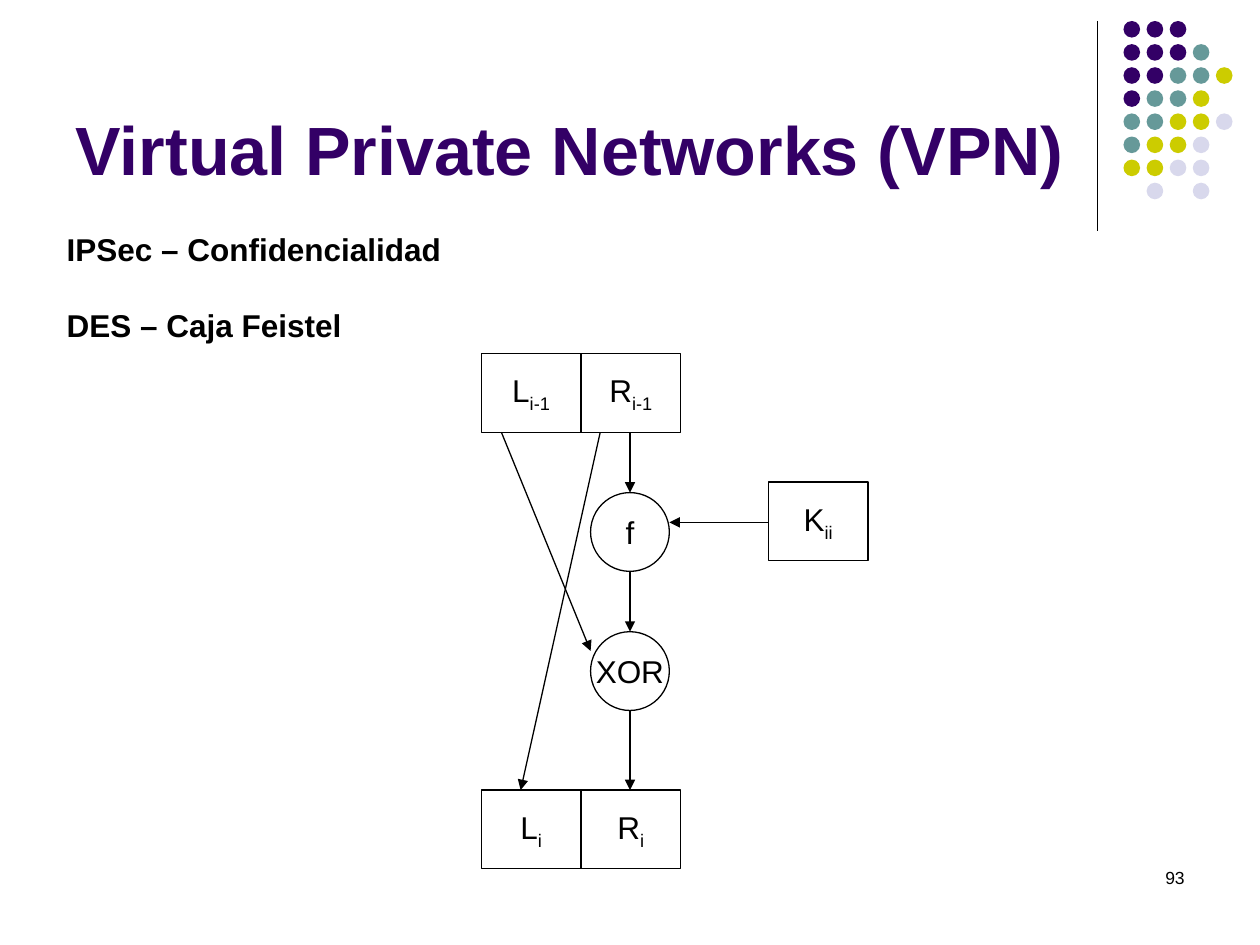
from pptx import Presentation
from pptx.dml.color import RGBColor
from pptx.enum.shapes import MSO_CONNECTOR, MSO_SHAPE
from pptx.enum.text import MSO_ANCHOR, PP_ALIGN
from pptx.oxml.ns import qn
from pptx.util import Pt
from lxml.etree import SubElement


def color(code):
    return RGBColor.from_string(code)


def style(para, size, code="000000", bold=False):
    para.font.name = "Arial"
    para.font.size = Pt(size)
    para.font.bold = bold
    para.font.color.rgb = color(code)


deck = Presentation()
deck.slide_width, deck.slide_height = Pt(720), Pt(540)
slide = deck.slides.add_slide(deck.slide_layouts[5])
shapes = slide.shapes

title = shapes.title
title.left, title.top, title.width, title.height = Pt(36), Pt(9.5), Pt(594), Pt(102)
title.text_frame.text = "Virtual Private Networks (VPN)"
title.text_frame.vertical_anchor = MSO_ANCHOR.BOTTOM
head = title.text_frame.paragraphs[0]
head.alignment = PP_ALIGN.LEFT
style(head, 39, "330066", True)

tones = {"P": "330066", "T": "669999", "Y": "CCCC00", "G": "D8D8EC"}
rows = ["PPP", "PPPT", "PPTTY", "PTTY", "TTYYG", "TYYG", "YYGG", " G G"]
for row, marks in enumerate(rows):
    for col, mark in enumerate(marks):
        if mark in tones:
            dot = shapes.add_shape(MSO_SHAPE.OVAL, Pt(642 + 13.2 * col),
                                   Pt(12 + 13.2 * row), Pt(9.5), Pt(9.5))
            dot.shadow.inherit = False
            dot.fill.solid()
            dot.fill.fore_color.rgb = color(tones[mark])
            dot.line.fill.background()

body = shapes.add_textbox(Pt(31), Pt(128), Pt(663), Pt(72)).text_frame
body.word_wrap = True
body.text = "IPSec – Confidencialidad\nDES – Caja Feistel"
for para in body.paragraphs:
    style(para, 18, bold=True)
body.paragraphs[1].space_before = Pt(22)

page = shapes.add_textbox(Pt(516), Pt(492), Pt(168), Pt(36)).text_frame
page.word_wrap = True
page.text = "93"
page.paragraphs[0].alignment = PP_ALIGN.RIGHT
style(page.paragraphs[0], 10)

rect, oval = MSO_SHAPE.RECTANGLE, MSO_SHAPE.OVAL
nodes = [
    (rect, 275, 202, 57, "L", "i-1"),
    (rect, 332, 202, 57, "R", "i-1"),
    (oval, 337.5, 281.5, 45, "f", ""),
    (oval, 337.5, 361, 45, "XOR", ""),
    (rect, 275, 451.5, 57, "L", "i"),
    (rect, 332, 451.5, 57, "R", "i"),
    (rect, 439, 275.5, 57, "K", "ii"),
]
for kind, left, top, width, name, sub in nodes:
    node = shapes.add_shape(kind, Pt(left), Pt(top), Pt(width), Pt(45))
    node.shadow.inherit = False
    node.fill.background()
    node.line.color.rgb = color("000000")
    node.line.width = Pt(0.75)
    frame = node.text_frame
    frame.word_wrap = False
    frame.vertical_anchor = MSO_ANCHOR.MIDDLE
    para = frame.paragraphs[0]
    para.alignment = PP_ALIGN.CENTER
    para.add_run().text = name
    if sub:
        run = para.add_run()
        run.text = sub
        run.font._element.set("baseline", "-25000")
    style(para, 18)

lines = [
    (627, 12, 627, 132, False),
    (360, 247, 360, 281.5, True),
    (360, 326.5, 360, 361, True),
    (360, 406, 360, 451.5, True),
    (286.5, 247, 337.5, 372, True),
    (343, 247, 297.5, 451.5, True),
    (439, 298.5, 382.5, 298.5, True),
]
for *ends, arrow in lines:
    link = shapes.add_connector(MSO_CONNECTOR.STRAIGHT, *map(Pt, ends))
    link.line.color.rgb = color("000000")
    link.line.width = Pt(0.75)
    if arrow:
        SubElement(link.line._get_or_add_ln(), qn("a:tailEnd"), type="triangle")
    SubElement(link._element.spPr, qn("a:effectLst"))

deck.save("out.pptx")
